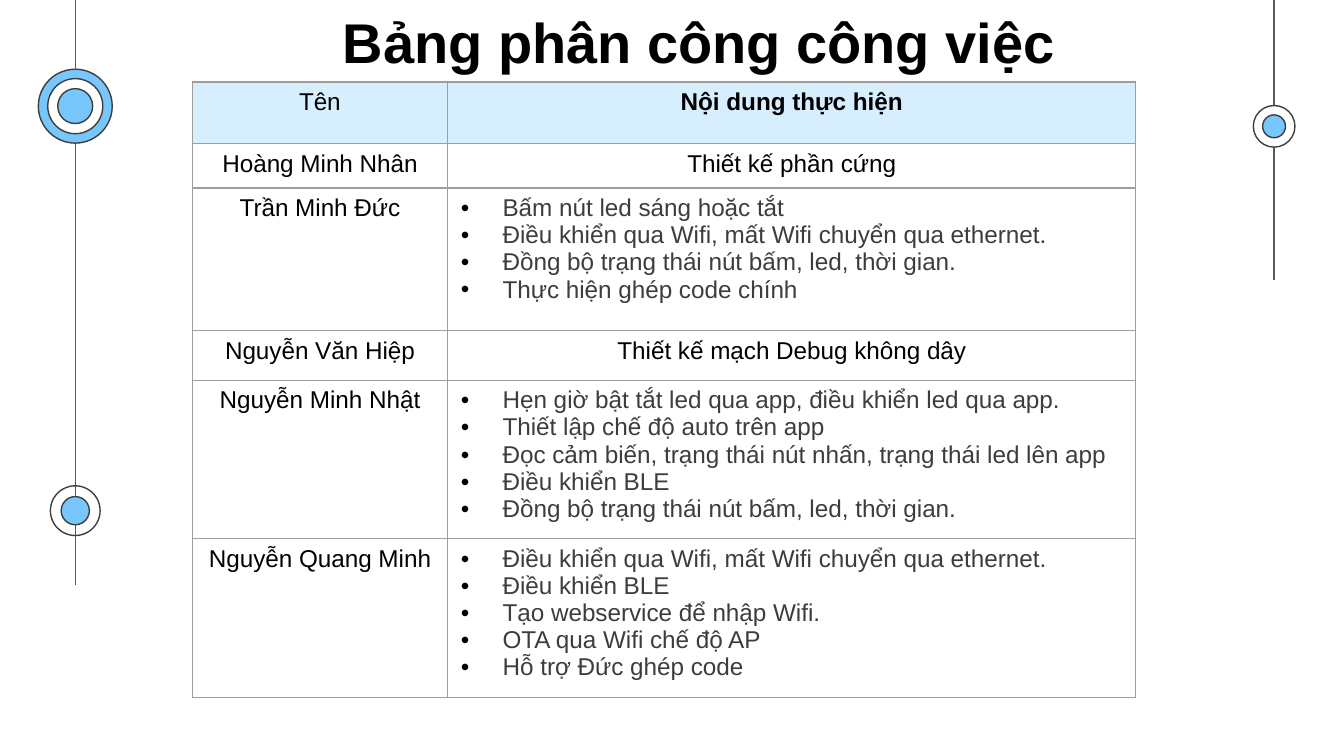
from lxml.etree import SubElement
from pptx import Presentation
from pptx.dml.color import RGBColor
from pptx.enum.shapes import MSO_CONNECTOR, MSO_SHAPE
from pptx.enum.text import MSO_ANCHOR, PP_ALIGN
from pptx.oxml.ns import qn
from pptx.util import Inches, Pt

# Content: a string is a centred entry, a list is bulleted
TITLE = "Bảng phân công công việc"
ROWS = [
    ("Tên", "Nội dung thực hiện"),
    ("Hoàng Minh Nhân", "Thiết kế phần cứng"),
    ("Trần Minh Đức", [
        "Bấm nút led sáng hoặc tắt",
        "Điều khiển qua Wifi, mất Wifi chuyển qua ethernet.",
        "Đồng bộ trạng thái nút bấm, led, thời gian.",
        "Thực hiện ghép code chính",
    ]),
    ("Nguyễn Văn Hiệp", "Thiết kế mạch Debug không dây"),
    ("Nguyễn Minh Nhật", [
        "Hẹn giờ bật tắt led qua app, điều khiển led qua app.",
        "Thiết lập chế độ auto trên app",
        "Đọc cảm biến, trạng thái nút nhấn, trạng thái led lên app",
        "Điều khiển BLE",
        "Đồng bộ trạng thái nút bấm, led, thời gian.",
    ]),
    ("Nguyễn Quang Minh", [
        "Điều khiển qua Wifi, mất Wifi chuyển qua ethernet.",
        "Điều khiển BLE",
        "Tạo webservice để nhập Wifi.",
        "OTA qua Wifi chế độ AP",
        "Hỗ trợ Đức ghép code",
    ]),
]

# Theme and layout, lengths in inches
THEME = {
    "font": "Arial", "title_size": 30, "body_size": 13, "line_width": 0.75,
    "text": "000000", "list": "3D3D3D", "rail": "595959", "border": "9E9E9E",
    "header": "D6EEFE", "accent": "77C6FC", "white": "FFFFFF",
}
SLIDE_WIDTH = 10
SLIDE_HEIGHT = SLIDE_WIDTH * 9 / 16
TITLE_BOX = (2.45, 0, 5.66, 0.61)
TABLE_ORIGIN = (1.43, 0.61)
COLUMN_WIDTHS = (1.9, 5.12)
ROW_HEIGHTS = (0.46, 0.33, 1.06, 0.37, 1.18, 1.18)
BULLET_INDENT = 0.31
RAILS = [(0.56, 4.35), (9.48, 2.08)]  # x, length from the top edge
BEADS = [  # centre x, centre y, (diameter, fill) from outside in
    (0.56, 3.8, [(0.37, None), (0.21, "accent")]),
    (9.48, 0.94, [(0.31, "white"), (0.17, "accent")]),
    (0.56, 0.79, [(0.55, "accent"), (0.41, "white"), (0.26, "accent")]),
]


def color(name):
    return RGBColor.from_string(THEME[name])


def style(paragraph, size="body_size", fill="text", bold=False):
    for run in paragraph.runs:
        run.font.name = THEME["font"]
        run.font.size = Pt(THEME[size])
        run.font.bold = bold
        run.font.color.rgb = color(fill)


def add_color(parent, name):
    SubElement(parent, qn("a:srgbClr"), val=THEME[name])


def add_bullet(paragraph):
    properties = paragraph._p.get_or_add_pPr()
    properties.set("marL", str(Inches(BULLET_INDENT)))
    properties.set("indent", str(-Inches(BULLET_INDENT)))
    add_color(SubElement(properties, qn("a:buClr")), "text")
    SubElement(properties, qn("a:buFont"), typeface=THEME["font"])
    SubElement(properties, qn("a:buChar"), char="•")


def add_borders(cell):
    properties = cell._tc.get_or_add_tcPr()
    for side in ("lnL", "lnR", "lnT", "lnB"):
        line = SubElement(properties, qn(f"a:{side}"), w=str(Pt(THEME["line_width"])))
        add_color(SubElement(line, qn("a:solidFill")), "border")


def add_rail(slide, x, length):
    rail = slide.shapes.add_connector(
        MSO_CONNECTOR.STRAIGHT, Inches(x), 0, Inches(x), Inches(length))
    rail.line.color.rgb = color("rail")
    rail.line.width = Pt(THEME["line_width"])
    SubElement(rail._element.spPr, qn("a:effectLst"))


def add_disc(slide, x, y, diameter, fill):
    left, top = x - diameter / 2, y - diameter / 2
    disc = slide.shapes.add_shape(
        MSO_SHAPE.OVAL, *map(Inches, (left, top, diameter, diameter)))
    disc.shadow.inherit = False
    if fill:
        disc.fill.solid()
        disc.fill.fore_color.rgb = color(fill)
    else:
        disc.fill.background()
    disc.line.color.rgb = color("list")
    disc.line.width = Pt(THEME["line_width"])


def fill_cell(cell, content, header, bold):
    add_borders(cell)
    if header:
        cell.fill.solid()
        cell.fill.fore_color.rgb = color("header")
    else:
        cell.fill.background()
    bulleted = isinstance(content, list)
    cell.text_frame.text = "\n".join(content) if bulleted else content
    for paragraph in cell.text_frame.paragraphs:
        if bulleted:
            add_bullet(paragraph)
        else:
            paragraph.alignment = PP_ALIGN.CENTER
        style(paragraph, fill="list" if bulleted else "text", bold=bold)


def add_task_table(slide):
    size = (sum(COLUMN_WIDTHS), sum(ROW_HEIGHTS))
    table = slide.shapes.add_table(
        len(ROWS), len(COLUMN_WIDTHS), *map(Inches, TABLE_ORIGIN + size)).table
    table.first_row = table.horz_banding = False
    for column, width in zip(table.columns, COLUMN_WIDTHS):
        column.width = Inches(width)
    for row_index, (row, height) in enumerate(zip(table.rows, ROW_HEIGHTS)):
        row.height = Inches(height)
        header = row_index == 0
        for column_index, content in enumerate(ROWS[row_index]):
            fill_cell(row.cells[column_index], content, header,
                      bold=header and column_index == 1)


def add_title(slide):
    title = slide.shapes.title
    title.left, title.top, title.width, title.height = map(Inches, TITLE_BOX)
    frame = title.text_frame
    frame.text = TITLE
    frame.word_wrap = True
    frame.vertical_anchor = MSO_ANCHOR.MIDDLE
    frame.paragraphs[0].alignment = PP_ALIGN.LEFT
    style(frame.paragraphs[0], size="title_size", bold=True)


def main():
    presentation = Presentation()
    presentation.slide_width = Inches(SLIDE_WIDTH)
    presentation.slide_height = Inches(SLIDE_HEIGHT)
    slide = presentation.slides.add_slide(presentation.slide_layouts[5])

    # Side decoration
    for x, length in RAILS:
        add_rail(slide, x, length)
    for x, y, discs in BEADS:
        for diameter, fill in discs:
            add_disc(slide, x, y, diameter, fill)

    # Title and task table
    add_title(slide)
    add_task_table(slide)
    presentation.save("out.pptx")


if __name__ == "__main__":
    main()
